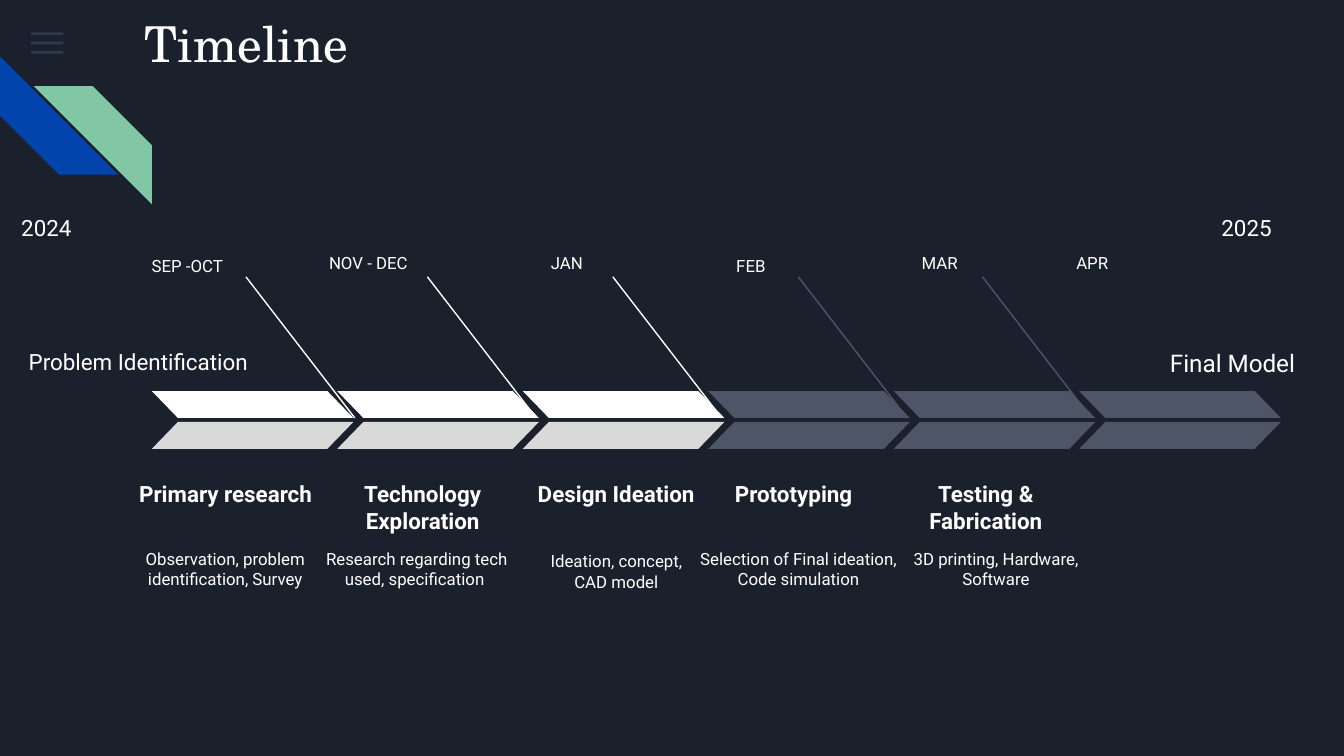
from dataclasses import dataclass

from lxml.etree import SubElement
from pptx import Presentation
from pptx.dml.color import RGBColor as RGB
from pptx.enum.shapes import MSO_CONNECTOR as Link, MSO_SHAPE as Kind
from pptx.enum.text import MSO_AUTO_SIZE as Fit, PP_ALIGN as Align
from pptx.oxml.ns import qn
from pptx.util import Inches, Pt


@dataclass(frozen=True)
class Theme:
    back: str = "1B212C"
    menu: str = "55688B"
    blue: str = "0145AC"
    green: str = "82C7A5"
    white: str = "FFFFFF"
    grey: str = "D9D9D9"
    slate: str = "4E5567"
    serif: str = "TeX Gyre Schola"
    sans: str = "Roboto"
    title: float = 26.5
    final: float = 13
    head: float = 12
    small: float = 9


THEME = Theme()
LEFT, STEP = 1.13, 1.38

MONTHS = [
    ("SEP -OCT", 1.03, 1.8, 0.77),
    ("NOV - DEC", 2.35, 1.78, 0.83),
    ("JAN", 4, 1.78, 0.6),
    ("FEB", 5.38, 1.8, 0.6),
    ("MAR", 6.76, 1.78, 0.6),
    ("APR", 7.91, 1.78, 0.6),
]
LINES = [1.83, 3.18, 4.56, 5.94, 7.31]
HEADS = [
    ("Primary research", 0.93, 1.5, 0.51, Fit.NONE),
    ("Technology Exploration", 2.45, 1.39, 0.61, Fit.SHAPE_TO_FIT_TEXT),
    ("Design Ideation", 3.89, 1.39, 0.4, Fit.SHAPE_TO_FIT_TEXT),
    ("Prototyping", 5.21, 1.39, 0.4, Fit.SHAPE_TO_FIT_TEXT),
    ("Testing & Fabrication", 6.64, 1.39, 0.61, Fit.SHAPE_TO_FIT_TEXT),
]
NOTES = [
    ("Observation, problem identification, Survey", 0.74, 3.98, 1.87),
    ("Research regarding tech used, specification ", 2.26, 3.98, 1.68),
    ("Ideation, concept, CAD model", 3.89, 4, 1.39),
    ("Selection of Final ideation, Code simulation", 5.08, 3.98, 1.72),
    ("3D printing, Hardware, Software", 6.64, 3.98, 1.54),
]
YEARS = [("2024", 0.06, 0.83), ("2025", 8.99, 0.77)]
GOALS = [
    ("Problem Identification", -0.29, 2.64, 0.4, THEME.head),
    ("Final Model", 7.97, 2.4, 0.42, THEME.final),
]


def add_form(slide, kind, box, color, flip=False):
    form = slide.shapes.add_shape(kind, *map(Inches, box))
    form.shadow.inherit = False
    form.fill.solid()
    form.fill.fore_color.rgb = RGB.from_string(color)
    form.line.fill.background()
    if flip:
        form._element.spPr.find(qn("a:xfrm")).set("flipH", "1")
    return form


def add_text(slide, text, box, size, align=Align.LEFT, bold=False, face=THEME.sans, fit=Fit.NONE):
    frame = slide.shapes.add_textbox(*map(Inches, box)).text_frame
    frame.word_wrap = True
    frame.auto_size = fit
    frame.margin_left = frame.margin_right = Inches(0.1)
    frame.margin_top = frame.margin_bottom = Inches(0.1)
    para = frame.paragraphs[0]
    para.text = text
    para.alignment = align
    font = para.font
    font.name, font.size, font.bold = face, Pt(size), bold
    font.color.rgb = RGB.from_string(THEME.white)
    return para


def add_line(slide, start, end, color):
    line = slide.shapes.add_connector(Link.STRAIGHT, *map(Inches, start + end))
    line.line.color.rgb = RGB.from_string(color)
    line.line.width = Pt(0.75)
    SubElement(line._element.spPr, qn("a:effectLst"))


def add_menu(slide):
    for row in range(3):
        bar = add_form(slide, Kind.RECTANGLE, (0.23, 0.24 + 0.07 * row, 0.24, 0.02), THEME.menu)
        tint = bar._element.spPr.find(".//" + qn("a:srgbClr"))
        SubElement(tint, qn("a:alpha")).set("val", "36000")


def add_stripes(slide):
    blue = add_form(slide, Kind.DIAGONAL_STRIPE, (0, 0.42, 0.88, 0.88), THEME.blue)
    blue.rotation = 270
    add_form(slide, Kind.DIAGONAL_STRIPE, (0.25, 0.64, 0.88, 0.88), THEME.green, flip=True)


def add_arrow(slide, left, upper, lower):
    for top, color, flip in ((2.91, upper, True), (3.14, lower, False)):
        half = add_form(slide, Kind.PARALLELOGRAM, (left, top, 1.5, 0.2), color, flip)
        half.adjustments[0] = 0.97


def add_track(slide):
    for step in range(len(MONTHS)):
        done = step < 3
        upper = THEME.white if done else THEME.slate
        lower = THEME.grey if done else THEME.slate
        if step < len(LINES):
            x = LINES[step]
            add_line(slide, (x, 2.06), (x + 0.81, 3.11), upper)
        add_arrow(slide, LEFT + STEP * step, upper, lower)


def add_labels(slide):
    grow = Fit.SHAPE_TO_FIT_TEXT
    for text, x, y, wide in MONTHS:
        add_text(slide, text, (x, y, wide, 0.25), THEME.small)
    for text, x, wide, high, fit in HEADS:
        add_text(slide, text, (x, 3.47, wide, high), THEME.head, Align.CENTER, bold=True, fit=fit)
    for text, x, y, wide in NOTES:
        add_text(slide, text, (x, y, wide, 0.51), THEME.small, Align.CENTER)
    for text, x, wide in YEARS:
        year = add_text(slide, text, (x, 1.49, wide, 0.4), THEME.head, fit=grow)
        year.space_after = Pt(16)
    for text, x, wide, high, size in GOALS:
        add_text(slide, text, (x, 2.49, wide, high), size, Align.CENTER, fit=grow)


def main():
    deck = Presentation()
    deck.slide_width = Inches(10)
    deck.slide_height = deck.slide_width * 9 // 16
    slide = deck.slides.add_slide(deck.slide_layouts[6])
    slide.background.fill.solid()
    slide.background.fill.fore_color.rgb = RGB.from_string(THEME.back)
    add_menu(slide)
    add_stripes(slide)
    add_text(slide, "Timeline", (0.98, 0, 2.79, 0.72), THEME.title, face=THEME.serif)
    add_track(slide)
    add_labels(slide)
    deck.save("out.pptx")


if __name__ == "__main__":
    main()
